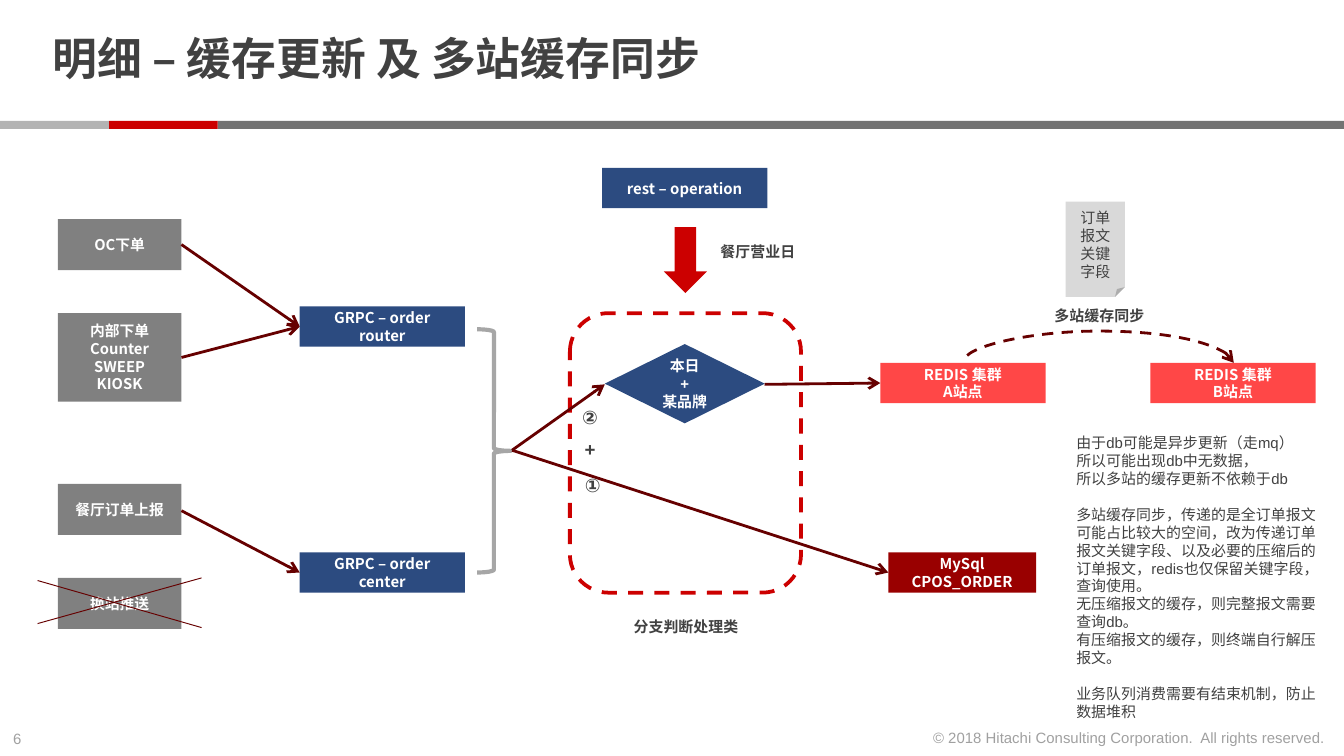
from lxml import etree
from pptx import Presentation
from pptx import util as u
from pptx.dml.color import RGBColor
from pptx.enum import dml, shapes, text
from pptx.oxml import ns
from pptx.util import Inches, Pt

DARK = RGBColor(0x41, 0x41, 0x41)
FOOTER = RGBColor(0xA0, 0xA0, 0xA0)
WHITE = RGBColor(0xFF, 0xFF, 0xFF)
RED = RGBColor(0xCC, 0x00, 0x00)
LIGHT_RED = RGBColor(0xFF, 0x47, 0x47)
DEEP_RED = RGBColor(0x99, 0x00, 0x00)
MAROON = RGBColor(0x66, 0x00, 0x00)
BLUE = RGBColor(0x2C, 0x4B, 0x80)
GRAY = RGBColor(0x80, 0x80, 0x80)
BAR_GRAY = RGBColor(0x73, 0x73, 0x73)
BAR_LIGHT = RGBColor(0xB3, 0xB3, 0xB3)
BRACE_GRAY = RGBColor(0xA6, 0xA6, 0xA6)
NOTE_GRAY = RGBColor(0xD9, 0xD9, 0xD9)

LATIN = "Arial"
CJK = "Noto Sans CJK SC"
LEFT, CENTER, RIGHT = text.PP_ALIGN.LEFT, text.PP_ALIGN.CENTER, text.PP_ALIGN.RIGHT
SHAPE = shapes.MSO_SHAPE
DASH = dml.MSO_LINE.DASH

SOURCES = [
    (1.63, 0.38, ["OC下单"]),
    (2.33, 0.66, ["内部下单", "Counter", "SWEEP", "KIOSK"]),
    (3.6, 0.38, ["餐厅订单上报"]),
    (4.3, 0.38, ["换站推送"]),
]
STEPS = [
    (2.23, 2.28, 1.23, BLUE, ["GRPC – order router"]),
    (2.23, 4.11, 1.23, BLUE, ["GRPC – order center"]),
    (4.48, 1.25, 1.23, BLUE, ["rest – operation"]),
    (6.55, 2.7, 1.23, LIGHT_RED, ["REDIS 集群", "A站点"]),
    (8.56, 2.7, 1.23, LIGHT_RED, ["REDIS 集群", "B站点"]),
    (6.61, 4.11, 1.1, DEEP_RED, ["MySql", "CPOS_ORDER"]),
]
ARROWS = [
    ((1.35, 1.82), (2.23, 2.43)),
    ((1.35, 2.66), (2.23, 2.43)),
    ((1.35, 3.8), (2.23, 4.26)),
    ((3.81, 3.35), (4.5, 2.86)),
    ((3.81, 3.35), (6.61, 4.26)),
    ((5.69, 2.86), (6.55, 2.85)),
]
LABELS = [
    (5.26, 1.76, 0.76, 0.24, "餐厅营业日", 8),
    (7.74, 2.23, 0.88, 0.24, "多站缓存同步", 8),
    (4.61, 4.55, 0.99, 0.24, "分支判断处理类", 8),
    (4.24, 3.48, 0.34, 0.27, "①", 10),
    (4.25, 3.21, 0.28, 0.27, "+", 10),
    (4.22, 2.97, 0.34, 0.27, "②", 10),
]
NOTES = [
    ["由于db可能是异步更新（走mq）", "所以可能出现db中无数据，", "所以多站的缓存更新不依赖于db"],
    ["多站缓存同步，传递的是全订单报文",
     "可能占比较大的空间，改为传递订单报文关键字段、以及必要的压缩后的订单报文，redis也仅保留关键字段，查询使用。",
     "无压缩报文的缓存，则完整报文需要查询db。",
     "有压缩报文的缓存，则终端自行解压报文。"],
    ["业务队列消费需要有结束机制，防止数据堆积"],
]


def write_line(para, line, size, color, bold=False, font=LATIN, align=LEFT):
    para.alignment = align
    span = para.add_run()
    span.text = line
    span.font.size = Pt(size)
    span.font.bold = bold
    span.font.color.rgb = color
    span.font.name = font
    etree.SubElement(span.font._element, ns.qn("a:ea"), typeface=CJK)


def write_lines(frame, lines, size, color, **style):
    for index, line in enumerate(lines):
        para = frame.add_paragraph() if index else frame.paragraphs[0]
        write_line(para, line, size, color, **style)


def add_block(page, kind, left, top, width, height, fill=None, line=None, weight=1):
    block = page.shapes.add_shape(
        kind, Inches(left), Inches(top), Inches(width), Inches(height))
    block.shadow.inherit = False
    if fill is None:
        block.fill.background()
    else:
        block.fill.solid()
        block.fill.fore_color.rgb = fill
    if line is None:
        block.line.fill.background()
    else:
        block.line.color.rgb = line
        block.line.width = Pt(weight)
    block.text_frame.vertical_anchor = text.MSO_ANCHOR.MIDDLE
    return block


def add_node(page, left, top, width, height, fill, lines, size=8):
    node = add_block(page, SHAPE.RECTANGLE, left, top, width, height, fill)
    write_lines(node.text_frame, lines, size, WHITE, bold=True, font=CJK, align=CENTER)


def add_textbox(page, left, top, width, height, wrap=False):
    box = page.shapes.add_textbox(
        Inches(left), Inches(top), Inches(width), Inches(height))
    box.text_frame.word_wrap = wrap
    return box.text_frame


def add_line(page, start, end, weight=1.5, kind=shapes.MSO_CONNECTOR.STRAIGHT, arrow=None):
    """Draw a connector; arrow is "headEnd" (at start), "tailEnd" (at end) or None."""
    line = page.shapes.add_connector(kind, *map(Inches, start + end))
    line.line.color.rgb = MAROON
    line.line.width = Pt(weight)
    properties = line._element.spPr
    if arrow:
        etree.SubElement(line.line._get_or_add_ln(), ns.qn(f"a:{arrow}"), type="arrow")
    etree.SubElement(properties, ns.qn("a:effectLst"))
    return line


def add_sync_arc(page):
    """Dashed arc over the two clusters: a tall curve turned a quarter to the left."""
    arc = add_line(page, (8.17, 3.7), (8.18, 1.69),
                   kind=shapes.MSO_CONNECTOR.CURVE, arrow="headEnd")
    arc.line.dash_style = DASH
    properties = arc._element.spPr
    properties.find(ns.qn("a:xfrm")).set("rot", str(270 * 60000))
    guides = properties.find(ns.qn("a:prstGeom")).find(ns.qn("a:avLst"))
    etree.SubElement(guides, ns.qn("a:gd"), name="adj1", fmla="val 2400000")


def add_title(page):
    title = page.shapes.title
    title.left, title.top = Inches(0.29), Inches(0.06)
    title.width, title.height = Inches(7.71), Inches(0.8)
    frame = title.text_frame
    frame.auto_size = text.MSO_AUTO_SIZE.NONE
    frame.vertical_anchor = text.MSO_ANCHOR.MIDDLE
    frame.margin_top = frame.margin_bottom = 0
    frame.paragraphs[0].line_spacing = 0.85
    write_line(frame.paragraphs[0], "明细 – 缓存更新 及 多站缓存同步", 24, DARK, bold=True)


def add_frame(page):
    for left, width, color in [(1.62, 8.38, BAR_GRAY), (0.81, 0.81, RED), (0, 0.81, BAR_LIGHT)]:
        add_block(page, SHAPE.RECTANGLE, left, 0.9, width, 0.06, color)
    write_lines(add_textbox(page, 0, 5.38, 0.34, 0.24), ["6"], 8, FOOTER)
    write_lines(add_textbox(page, 6.8, 5.37, 3.16, 0.24),
                ["© 2018 Hitachi Consulting Corporation.\u00a0 All rights reserved."],
                8, FOOTER, align=RIGHT)


def add_notes(page):
    frame = add_textbox(page, 7.91, 3.18, 2, 2.26, wrap=True)
    write_lines(frame, [line for group in NOTES for line in group], 8, DARK)
    first = 0
    for group in NOTES[:-1]:
        first += len(group)
        frame.paragraphs[first].space_before = Pt(9.6)


def main():
    deck = Presentation()
    deck.slide_width = Inches(10)
    deck.slide_height = u.Emu(deck.slide_width * 9 // 16)
    page = deck.slides.add_slide(deck.slide_layouts[5])
    add_frame(page)
    add_title(page)

    branch = add_block(page, SHAPE.ROUNDED_RECTANGLE, 4.24, 2.33, 1.72, 2.08, line=RED, weight=2)
    branch.line.dash_style = DASH
    add_block(page, SHAPE.RIGHT_BRACE, 3.55, 2.45, 0.25, 1.81, line=BRACE_GRAY, weight=2.25)
    add_block(page, SHAPE.DOWN_ARROW, 4.94, 1.69, 0.32, 0.49, RED)

    for top, height, lines in SOURCES:
        add_node(page, 0.43, top, 0.92, height, GRAY, lines, 7.9)
    for left, top, width, fill, lines in STEPS:
        add_node(page, left, top, width, 0.3, fill, lines)
    decision = add_block(page, SHAPE.DIAMOND, 4.5, 2.56, 1.19, 0.59, BLUE)
    write_lines(decision.text_frame, ["本日", "+", "某品牌"], 8, WHITE, bold=True, align=CENTER)
    note = add_block(page, SHAPE.FOLDED_CORNER, 7.93, 1.5, 0.44, 0.71, NOTE_GRAY)
    write_lines(note.text_frame, ["订单报文关键字段"], 8, DARK, align=CENTER)

    for start, end in ARROWS:
        add_line(page, start, end, arrow="tailEnd")
    add_line(page, (0.28, 4.32), (1.5, 4.67), 0.5)
    add_line(page, (0.28, 4.64), (1.5, 4.3), 0.5)
    add_sync_arc(page)

    for left, top, width, height, label, size in LABELS:
        write_lines(add_textbox(page, left, top, width, height), [label], size, DARK,
                    bold=True, align=CENTER)
    add_notes(page)
    deck.save("out.pptx")


if __name__ == "__main__":
    main()
